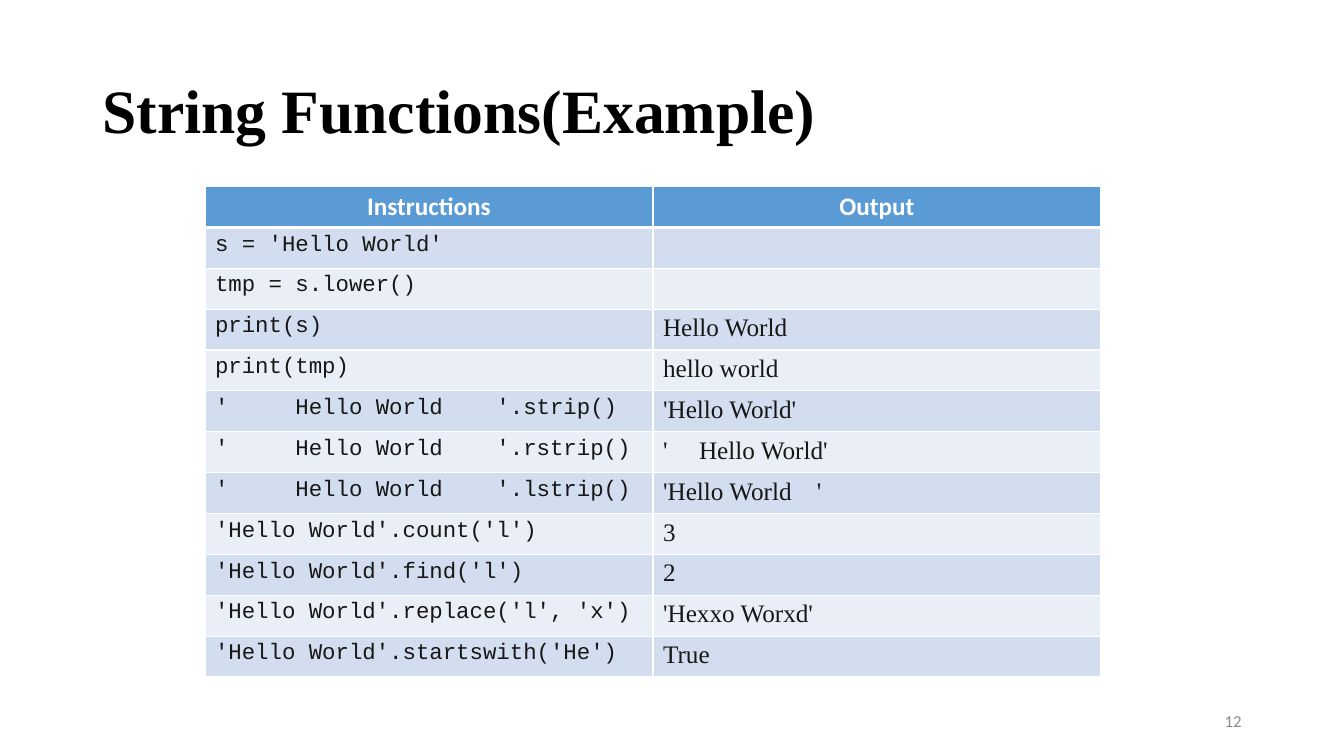
from dataclasses import dataclass

from lxml.etree import SubElement
from pptx import Presentation
from pptx.dml.color import RGBColor
from pptx.enum.text import MSO_ANCHOR as Anchor, PP_ALIGN as Align
from pptx.oxml.ns import qn
from pptx.util import Inches, Pt

GRID_COLS, GRID_ROWS = 160, 90

ROWS = [
    ("s = 'Hello World'", ""),
    ("tmp = s.lower()", ""),
    ("print(s)", "Hello World"),
    ("print(tmp)", "hello world"),
    ("'     Hello World    '.strip()", "'Hello World'"),
    ("'     Hello World    '.rstrip()", "'     Hello World'"),
    ("'     Hello World    '.lstrip() ", "'Hello World    '"),
    ("'Hello World'.count('l')", "3"),
    ("'Hello World'.find('l')", "2"),
    ("'Hello World'.replace('l', 'x')", "'Hexxo Worxd'"),
    ("'Hello World'.startswith('He')", "True"),
]


@dataclass(frozen=True)
class Style:
    font: str
    size: int
    color: str
    bold: bool = False


@dataclass(frozen=True)
class Theme:
    title: Style = Style("Times New Roman", 44, "000000", True)
    header: Style = Style("Calibri", 18, "FFFFFF", True)
    code: Style = Style("Courier New", 16, "181717")
    output: Style = Style("Times New Roman", 18, "181717")
    number: Style = Style("Calibri", 12, "8C8C8C")
    header_fill: str = "5B9BD5"
    bands: tuple = ("D2DEEF", "EAEFF7")
    border: str = "FFFFFF"
    thin: int = 1
    thick: int = 3


THEME = Theme()


def place(prs, col, row, cols, rows):
    dx, dy = prs.slide_width / GRID_COLS, prs.slide_height / GRID_ROWS
    return [round(v) for v in (col * dx, row * dy, cols * dx, rows * dy)]


def write(tf, text, style, align=Align.LEFT):
    p = tf.paragraphs[0]
    p.alignment = align
    if not text:
        p.font.size = Pt(style.size)
        return p
    r = p.add_run()
    r.text = text
    r.font.name = style.font
    r.font.size = Pt(style.size)
    r.font.bold = style.bold
    r.font.color.rgb = RGBColor.from_string(style.color)
    return p


def add_text(s, area, text, style, align=Align.LEFT):
    tf = s.shapes.add_textbox(*area).text_frame
    tf.word_wrap = True
    tf.vertical_anchor = Anchor.MIDDLE
    return write(tf, text, style, align)


def add_borders(cell, top, bottom):
    tc_pr = cell._tc.get_or_add_tcPr()
    thin = THEME.thin
    for side, width in zip("LRTB", (thin, thin, top, bottom)):
        ln = SubElement(tc_pr, qn(f"a:ln{side}"), w=str(Pt(width)))
        fill = SubElement(ln, qn("a:solidFill"))
        SubElement(fill, qn("a:srgbClr"), val=THEME.border)


def fill_cell(cell, text, style, fill, align, top, bottom):
    write(cell.text_frame, text, style, align)
    add_borders(cell, top, bottom)
    cell.fill.solid()
    cell.fill.fore_color.rgb = RGBColor.from_string(fill)


def add_code_table(s, area, headers, rows):
    count = len(rows) + 1
    table = s.shapes.add_table(count, len(headers), *area).table
    for row in table.rows:
        row.height = round(area[3] / count)
    for col, text in enumerate(headers):
        fill_cell(table.cell(0, col), text, THEME.header, THEME.header_fill,
                  Align.CENTER, THEME.thin, THEME.thick)
    for i, texts in enumerate(rows):
        top = THEME.thin if i else THEME.thick
        for col, (text, style) in enumerate(zip(texts, (THEME.code, THEME.output))):
            fill_cell(table.cell(i + 1, col), text, style, THEME.bands[i % 2],
                      Align.LEFT, top, THEME.thin)


def main():
    prs = Presentation()
    prs.slide_width, prs.slide_height = Inches(40 / 3), Inches(7.5)
    s = prs.slides.add_slide(prs.slide_layouts[6])
    title = add_text(s, place(prs, 11, 4.8, 138, 17.4),
                     "String Functions(Example)", THEME.title)
    title.line_spacing = 0.9
    add_text(s, place(prs, 113, 83.4, 36, 4.8), "12", THEME.number, Align.RIGHT)
    add_code_table(s, place(prs, 24.4, 22.2, 106.67, 58.4),
                   ("Instructions", "Output"), ROWS)
    prs.save("out.pptx")


main()
